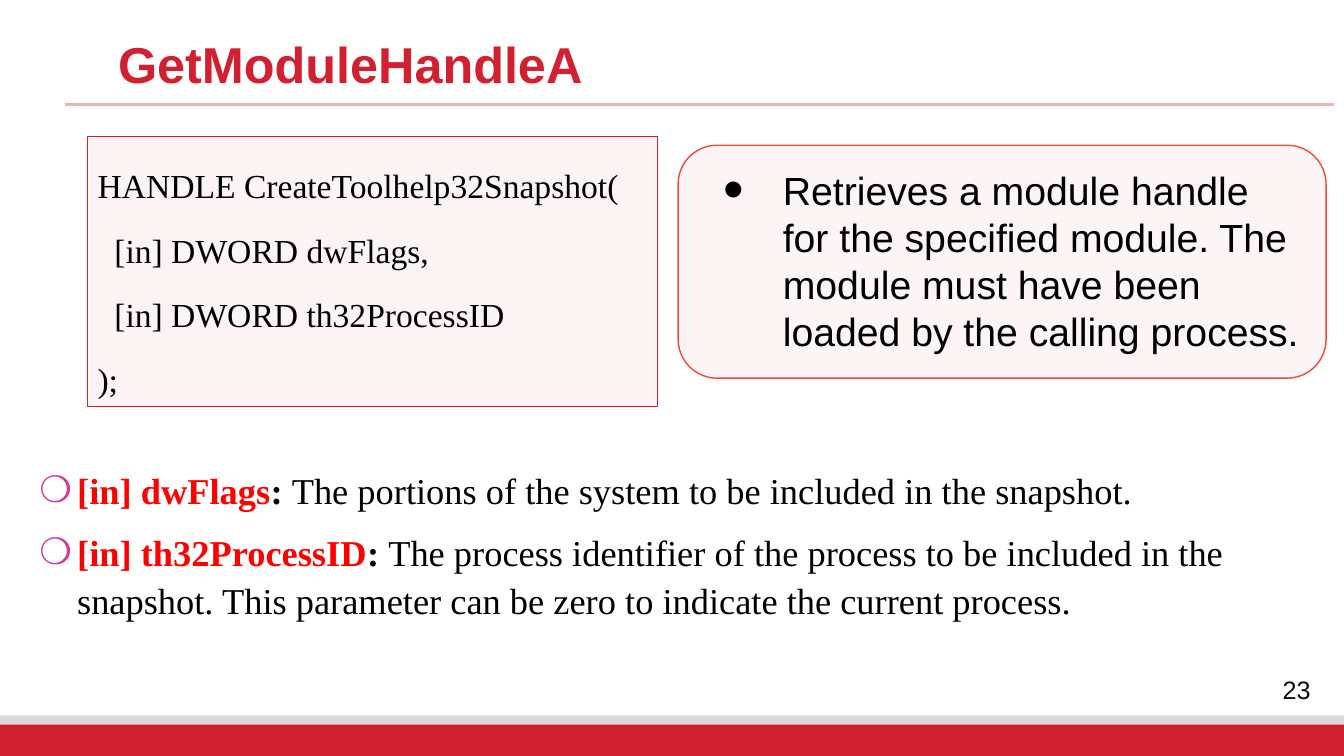
from lxml import etree
from pptx import Presentation
from pptx.dml.color import RGBColor
from pptx.enum.shapes import MSO_CONNECTOR, MSO_SHAPE
from pptx.enum.text import MSO_ANCHOR, MSO_AUTO_SIZE, PP_ALIGN
from pptx.oxml.ns import qn
from pptx.util import Cm, Pt

TITLE = "GetModuleHandleA"
PAGE_NUMBER = "23"
CODE = [
    "HANDLE CreateToolhelp32Snapshot(",
    "  [in] DWORD dwFlags,",
    "  [in] DWORD th32ProcessID",
    ");",
]
SUMMARY = ("Retrieves a module handle for the specified module. "
           "The module must have been loaded by the calling process.")
PARAMETERS = [
    ("[in] dwFlags",
     "The portions of the system to be included in the snapshot."),
    ("[in] th32ProcessID",
     "The process identifier of the process to be included in the snapshot. "
     "This parameter can be zero to indicate the current process."),
]

CRIMSON = RGBColor(0xD1, 0x20, 0x2F)
CORAL = RGBColor(0xE7, 0x4C, 0x3C)
PINK = RGBColor(0xF0, 0xB3, 0xB5)
GREY = RGBColor(0xD9, 0xD9, 0xD9)
RED = RGBColor(0xFF, 0x00, 0x00)
BLACK = RGBColor(0x00, 0x00, 0x00)
NEAR_BLACK = RGBColor(0x0D, 0x0D, 0x0D)
ORCHID = RGBColor(0xCA, 0x3E, 0x9D)
SANS, SERIF = "Arial", "Times New Roman"
RECTANGLE, ROUNDED = MSO_SHAPE.RECTANGLE, MSO_SHAPE.ROUNDED_RECTANGLE
STRAIGHT = MSO_CONNECTOR.STRAIGHT
LEFT, CENTER = PP_ALIGN.LEFT, PP_ALIGN.CENTER
TOP, MIDDLE = MSO_ANCHOR.TOP, MSO_ANCHOR.MIDDLE
NO_FIT = MSO_AUTO_SIZE.NONE

WIDTH, HEIGHT = 33.87, 19.05


def place(shape, left, top, width, height):
    shape.left, shape.top = Cm(left), Cm(top)
    shape.width, shape.height = Cm(width), Cm(height)


def add_panel(page, kind, bounds, fill, line=None, weight=0, opacity=100):
    panel = page.shapes.add_shape(kind, *map(Cm, bounds))
    panel.shadow.inherit = False
    panel.fill.solid()
    panel.fill.fore_color.rgb = fill
    if opacity < 100:
        color = panel.fill._xPr.find(qn("a:solidFill"))[0]
        etree.SubElement(color, qn("a:alpha"), val=str(opacity * 1000))
    if line is None:
        panel.line.fill.background()
    else:
        panel.line.color.rgb = line
        panel.line.width = Pt(weight)
    return panel


def prepare(shape, anchor=TOP):
    """Make the shape's text wrap at a fixed size and return its frame."""
    frame = shape.text_frame
    frame.word_wrap = True
    frame.auto_size = NO_FIT
    frame.vertical_anchor = anchor
    return frame


def set_font(font, name, size, color, bold=False):
    font.name, font.size, font.bold = name, Pt(size), bold
    font.color.rgb = color


def add_bullet(para, char, margin, indent, color=None, percent=100):
    props = para._p.get_or_add_pPr()
    props.set("marL", str(Cm(margin)))
    props.set("indent", str(Cm(-indent)))
    if color is not None:
        holder = etree.SubElement(props, qn("a:buClr"))
        etree.SubElement(holder, qn("a:srgbClr"), val=str(color))
    etree.SubElement(props, qn("a:buSzPct"), val=str(percent * 1000))
    etree.SubElement(props, qn("a:buFont"), typeface=SANS)
    etree.SubElement(props, qn("a:buChar"), char=char)


def paragraphs(frame, items):
    """Yield a paragraph for each item, starting with the existing one."""
    for index, item in enumerate(items):
        yield (frame.add_paragraph() if index else frame.paragraphs[0]), item


def add_frame_marks(page):
    """Draw the footer bands, the title rule and the page number."""
    for height, color in [(1.02, GREY), (0.79, CRIMSON)]:
        add_panel(page, RECTANGLE, (0, HEIGHT - height, WIDTH, height), color)
    rule = page.shapes.add_connector(
        STRAIGHT, Cm(1.63), Cm(2.64), Cm(33.63), Cm(2.64))
    rule.line.color.rgb = PINK
    rule.line.width = Pt(2.25)
    etree.SubElement(rule._element.spPr, qn("a:effectLst"))
    box = page.shapes.add_textbox(Cm(31.52), Cm(16.89), Cm(2.31), Cm(0.99))
    para = prepare(box, MIDDLE).paragraphs[0]
    para.text, para.alignment = PAGE_NUMBER, CENTER
    set_font(para.font, SANS, 18, NEAR_BLACK)


def fill_title(title):
    place(title, 2.72, 0.89, 28.88, 1.22)
    para = prepare(title).paragraphs[0]
    para.text, para.alignment, para.line_spacing = TITLE, LEFT, 0.9
    set_font(para.font, SANS, 36, CRIMSON, bold=True)


def fill_parameters(body):
    place(body, 0.74, 11.56, 32.39, 4.72)
    for para, (name, meaning) in paragraphs(prepare(body), PARAMETERS):
        para.line_spacing = 1.1
        para.space_before, para.space_after = Pt(0), Pt(10)
        add_bullet(para, "❍", 0.95, 0.95, ORCHID)
        for text, color, bold in [(name, RED, True), (": ", BLACK, True),
                                  (meaning, BLACK, False)]:
            span = para.add_run()
            span.text = text
            set_font(span.font, SERIF, 26, color, bold)


def add_code(page):
    panel = add_panel(page, RECTANGLE, (2.21, 3.43, 14.35, 6.81),
                      CRIMSON, CRIMSON, 0.75, opacity=5)
    for para, line in paragraphs(prepare(panel), CODE):
        para.text, para.alignment, para.line_spacing = line, LEFT, 1.6
        set_font(para.font, SERIF, 24, BLACK)


def add_summary(page):
    add_panel(page, ROUNDED, (17.09, 3.66, 16.33, 5.87),
              CORAL, CORAL, 1, opacity=5)
    box = page.shapes.add_textbox(Cm(17.48), Cm(4.06), Cm(15.6), Cm(5.03))
    para = prepare(box).paragraphs[0]
    para.text = SUMMARY
    add_bullet(para, "•", 2, 1.5, percent=150)
    set_font(para.font, SANS, 28, BLACK)


def main():
    deck = Presentation()
    deck.slide_width, deck.slide_height = Cm(WIDTH), Cm(HEIGHT)
    page = deck.slides.add_slide(deck.slide_layouts[1])
    add_frame_marks(page)
    fill_title(page.shapes.title)
    fill_parameters(page.placeholders[1])
    add_code(page)
    add_summary(page)
    deck.save("out.pptx")


if __name__ == "__main__":
    main()
